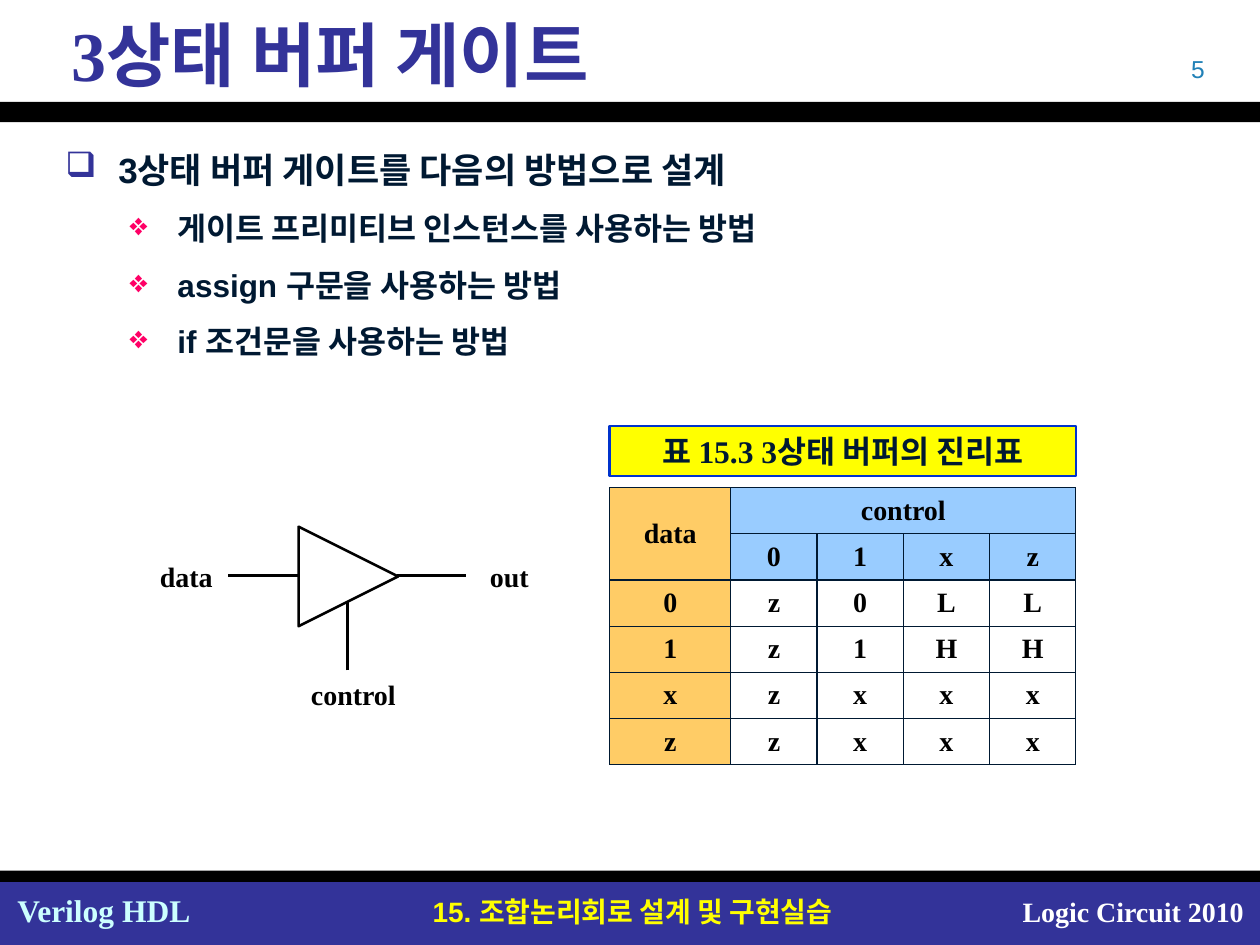
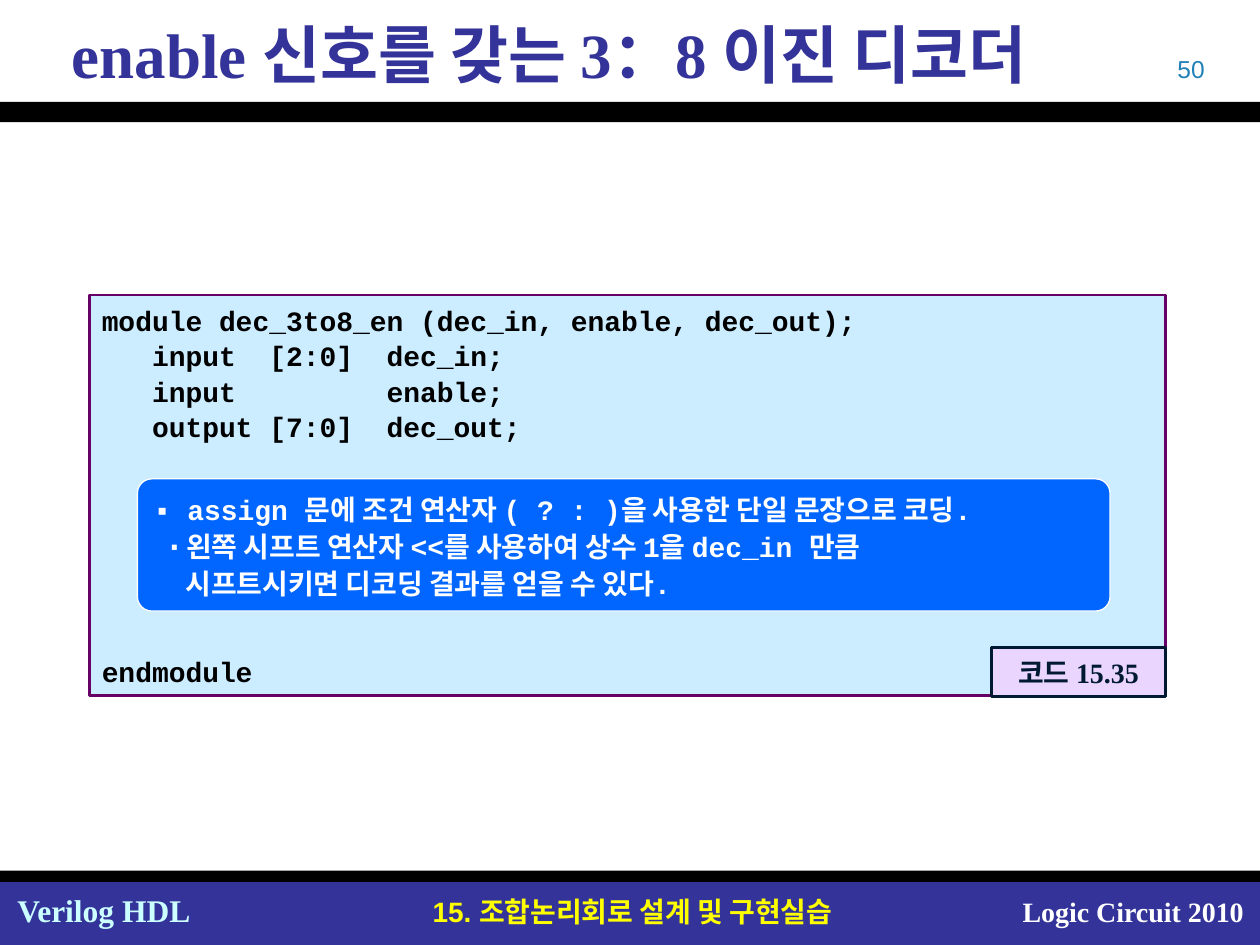
from lxml import etree
from pptx import Presentation
from pptx.dml.color import RGBColor
from pptx.enum.shapes import MSO_CONNECTOR, MSO_SHAPE
from pptx.enum.text import MSO_ANCHOR, PP_ALIGN
from pptx.oxml.ns import qn
from pptx.util import Inches, Pt

LEFT, MID, RIGHT = PP_ALIGN.LEFT, PP_ALIGN.CENTER, PP_ALIGN.RIGHT
TOP, CENTER = MSO_ANCHOR.TOP, MSO_ANCHOR.MIDDLE
RECT, ROUND, TRI = MSO_SHAPE.RECTANGLE, MSO_SHAPE.ROUNDED_RECTANGLE, MSO_SHAPE.ISOSCELES_TRIANGLE
STRAIGHT = MSO_CONNECTOR.STRAIGHT

SERIF, SANS, MONO = "Times New Roman", "Arial", "Courier New"
NAVY, INK, BLACK, WHITE = "333399", "001932", "000000", "FFFFFF"
YELLOW, PINK, SKY, GOLD = "FFFF00", "FF0066", "99CCFF", "FFCC66"
COLS, ROWS = 100, 75


def color(code):
    return RGBColor.from_string(code)


def node(parent, tag, **attrs):
    return etree.SubElement(parent, qn(tag), attrs)


def tint(parent, code):
    node(node(parent, "a:solidFill"), "a:srgbClr", val=code)


def write(frame, text, size=16, font=SERIF, ink=BLACK, bold=True, align=LEFT,
          anchor=TOP, wrap=True, space=None, before=None, margin=0, hang=0,
          bullet=None, mark=NAVY, more=False):
    frame.word_wrap = wrap
    frame.vertical_anchor = anchor
    for i, line in enumerate(text.split("\n")):
        para = frame.add_paragraph() if more or i else frame.paragraphs[0]
        props = para._p.get_or_add_pPr()
        props.set("marL", str(Inches(margin)))
        props.set("indent", str(Inches(-hang)))
        if bullet:
            node(node(props, "a:buClr"), "a:srgbClr", val=mark)
            node(props, "a:buChar", char=bullet)
        para.alignment = align
        if space:
            para.line_spacing = space
        if before:
            para.space_before = Pt(before)
        run = para.add_run()
        run.text = line
        run.font.size = Pt(size)
        run.font.name = font
        run.font.bold = bold
        run.font.color.rgb = color(ink)


class Deck:
    def __init__(self):
        self.file = Presentation()
        self.file.slide_width = Inches(10)
        self.file.slide_height = Inches(7.5)
        self.slide = None

    def x(self, col):
        return round(self.file.slide_width * col / COLS)

    def y(self, row):
        return round(self.file.slide_height * row / ROWS)

    def area(self, left, top, wide, high):
        return self.x(left), self.y(top), self.x(wide), self.y(high)

    def page(self, title, number, size):
        self.slide = self.file.slides.add_slide(self.file.slide_layouts[6])
        self.shape(RECT, (0, 70, 100, 5), fill=NAVY)
        self.shape(RECT, (0, 8.1, 100, 1.6), fill=BLACK)
        self.shape(RECT, (0, 69.1, 100, 0.9), fill=BLACK)
        self.text((30.7, 70.5, 39, 3.7), "15. 조합논리회로 설계 및 구현실습",
                  font=SANS, ink=YELLOW, align=MID)
        self.text((78.8, 70.5, 20.9, 3.7), "Logic Circuit 2010", ink=WHITE, align=RIGHT)
        self.text((0.4, 70.2, 16.5, 4), "Verilog HDL", size=18, ink="CCFFFF")
        self.text((73.3, 3.8, 23.3, 3.3), number, size=14, font=SANS,
                  ink="2181B7", bold=False, align=RIGHT)
        self.text((1.7, 1, 96.7, 6.5), title, size=size, ink=NAVY,
                  anchor=CENTER, margin=0.3)

    def text(self, area, text, **style):
        frame = self.slide.shapes.add_textbox(*self.area(*area)).text_frame
        write(frame, text, **style)
        return frame

    def shape(self, kind, area, fill=None, line=None, width=1.5, turn=0):
        item = self.slide.shapes.add_shape(kind, *self.area(*area))
        item.shadow.inherit = False
        item.rotation = turn
        if fill:
            item.fill.solid()
            item.fill.fore_color.rgb = color(fill)
        else:
            item.fill.background()
        if line:
            item.line.color.rgb = color(line)
            item.line.width = Pt(width)
        else:
            item.line.fill.background()
        return item

    def label(self, area, text, fill, line, **style):
        frame = self.shape(RECT, area, fill, line).text_frame
        write(frame, text, ink=INK, align=MID, anchor=CENTER, **style)

    def wire(self, x1, y1, x2, y2):
        item = self.slide.shapes.add_connector(
            STRAIGHT, self.x(x1), self.y(y1), self.x(x2), self.y(y2))
        item.line.color.rgb = color(BLACK)
        item.line.width = Pt(1.5)
        node(item._element.spPr, "a:effectLst")

    def table(self, area, data, first, spans):
        grid = self.slide.shapes.add_table(len(data), len(data[0]), *self.area(*area)).table
        grid.first_row = grid.horz_banding = False
        rest = (area[2] - first) / (len(data[0]) - 1)
        for i, col in enumerate(grid.columns):
            col.width = self.x(rest if i else first)
        for r, row in enumerate(data):
            for c, word in enumerate(row):
                self.cell(grid.cell(r, c), word, GOLD if c == 0 else SKY if r < 2 else None)
        for start, end in spans:
            grid.cell(*start).merge(grid.cell(*end))

    def cell(self, cell, word, fill):
        props = cell._tc.get_or_add_tcPr()
        for side in "LRTB":
            tint(node(props, "a:ln" + side, w=str(Pt(0.75))), INK)
        if fill:
            cell.fill.solid()
            cell.fill.fore_color.rgb = color(fill)
        else:
            cell.fill.background()
        cell.margin_top = cell.margin_bottom = 0
        cell.vertical_anchor = CENTER
        if word:
            para = cell.text_frame
            write(para, word, align=MID, anchor=CENTER)


def buffer(deck):
    deck.page("3상태 버퍼 게이트", "5", 40)
    body = deck.text((4.2, 9.6, 92.5, 21.6), "3상태 버퍼 게이트를 다음의 방법으로 설계",
                     size=20, font=SANS, ink=INK, space=1.5, margin=0.42,
                     hang=0.42, bullet="❑")
    write(body, "게이트 프리미티브 인스턴스를 사용하는 방법\n"
                "assign 구문을 사용하는 방법\nif 조건문을 사용하는 방법",
          size=18, font=SANS, ink=INK, space=1.5, margin=0.89, hang=0.38,
          bullet="❖", mark=PINK, more=True)

    deck.shape(TRI, (23.7, 41.8, 7.9, 7.9), line=BLACK, turn=90)
    for ends in ((18.1, 45.7, 23.7, 45.7), (31.5, 45.7, 37, 45.7), (27.6, 53.2, 27.6, 47.7)):
        deck.wire(*ends)
    for left, top, wide, name in ((11.7, 43.9, 6.2, "data"), (37.9, 43.9, 5.1, "out"),
                                  (23.7, 53.3, 8.7, "control")):
        deck.text((left, top, wide, 3.7), name, wrap=False)

    rows = [["data", "control", "", "", ""], ["", *"01xz"]]
    rows += [list(row) for row in ("0z0LL", "1z1HH", "xzxxx", "zzxxx")]
    deck.table((48.4, 38.7, 37, 22), rows, 9.6, [((0, 0), (1, 0)), ((0, 1), (0, 4))])
    deck.label((48.4, 33.8, 37, 4), "표 15.3 3상태 버퍼의 진리표", YELLOW, "0033CC", size=18)


def decoder(deck):
    deck.page("enable 신호를 갖는 3：8 이진 디코더", "50", 36)
    code = deck.shape(RECT, (7.1, 23.4, 85.4, 31.8), "CCECFF", "660066").text_frame
    style = dict(font=MONO, anchor=CENTER, space=1.05)
    write(code, "module dec_3to8_en (dec_in, enable, dec_out);\n"
                "   input  [2:0]  dec_in;\n"
                "   input         enable;\n"
                "   output [7:0]  dec_out;", **style)
    write(code, "endmodule", before=120, more=True, **style)

    note = deck.shape(ROUND, (10.9, 38, 77.2, 10.5), "0066FF", WHITE, 0.75)
    note.adjustments[0] = 0.11
    lines = ((0, "▪ assign 문에 조건 연산자 ( ? : )을 사용한 단일 문장으로 코딩."),
             (0.12, "∙ 왼쪽 시프트 연산자 <<를 사용하여 상수 1을 dec_in 만큼"),
             (0.25, "시프트시키면 디코딩 결과를 얻을 수 있다."))
    for i, (margin, line) in enumerate(lines):
        write(note.text_frame, line, font=MONO, ink=WHITE, anchor=CENTER,
              space=1.1, margin=margin, more=i > 0)
    deck.label((78.7, 51.4, 13.8, 3.9), "코드 15.35", "EAD5FF", INK, wrap=False)


def main():
    deck = Deck()
    buffer(deck)
    decoder(deck)
    deck.file.save("out.pptx")


if __name__ == "__main__":
    main()
